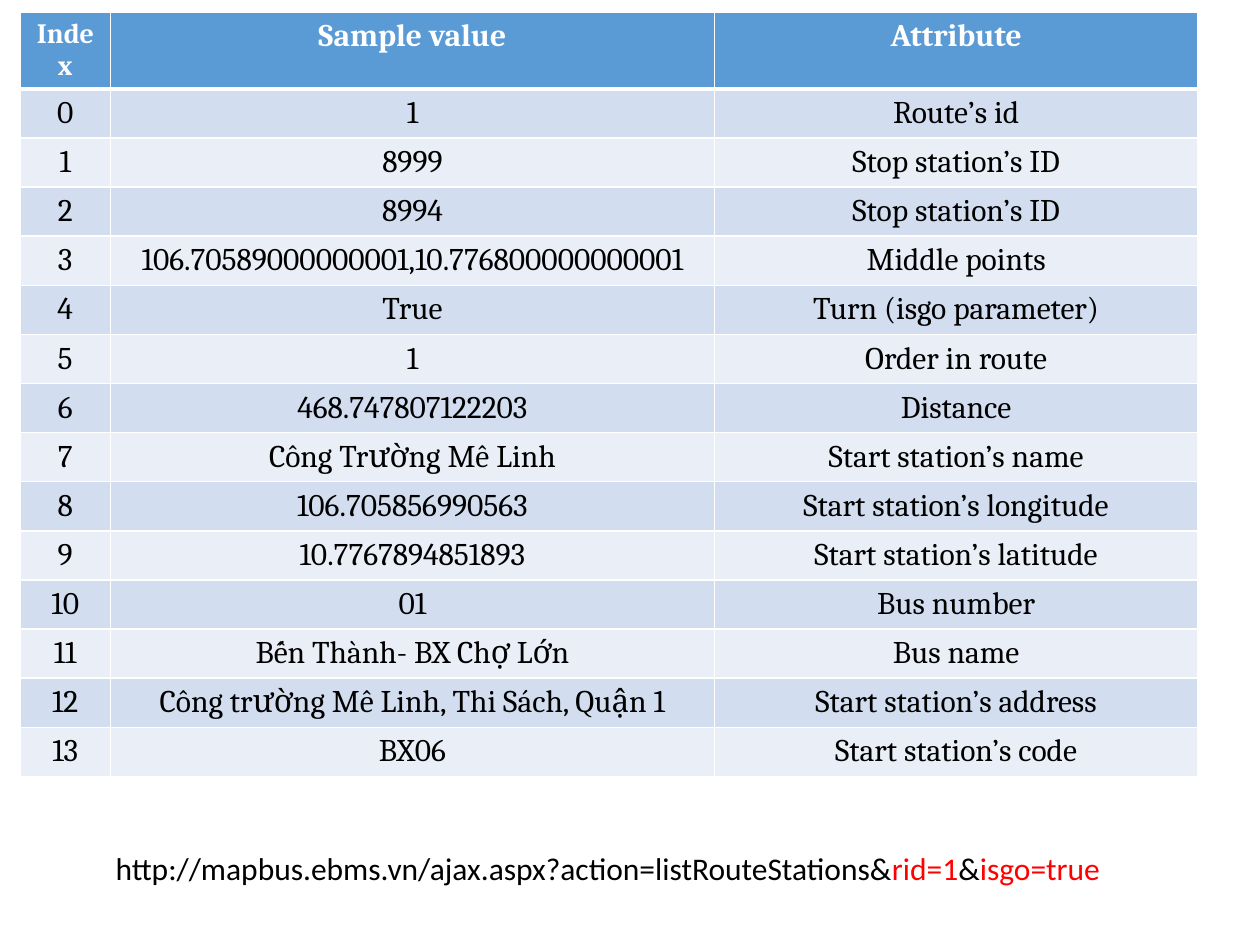
"""Build a slide that lists the attributes of a bus route station record."""
import dataclasses
import typing

import lxml.etree
import pptx
import pptx.dml.color
import pptx.enum.text
import pptx.oxml.ns
import pptx.util

Cm = pptx.util.Cm
Pt = pptx.util.Pt

COLORS = {
    "header": "5B9BD5",
    "odd": "D2DEEF",
    "even": "EAEFF7",
    "white": "FFFFFF",
    "black": "000000",
    "red": "FF0000",
}
HEADER_FONT = {"name": "Cambria", "size": Pt(18), "bold": True}
INDEX_FONT = {**HEADER_FONT, "size": Pt(16)}
BODY_FONT = {"name": "Cambria", "size": Pt(18), "bold": False}
URL_FONT = {"name": "Calibri", "size": Pt(18)}


@dataclasses.dataclass
class Attribute:
    sample: str
    meaning: str


@dataclasses.dataclass
class UrlPart:
    text: str
    color: str


HEADINGS = ["Index", "Sample value", "Attribute"]
ATTRIBUTES = [
    Attribute("1", "Route’s id"),
    Attribute("8999", "Stop station’s ID"),
    Attribute("8994", "Stop station’s ID"),
    Attribute("106.70589000000001,10.776800000000001", "Middle points"),
    Attribute("True", "Turn (isgo parameter)"),
    Attribute("1", "Order in route"),
    Attribute("468.747807122203", "Distance"),
    Attribute("Công Trường Mê Linh", "Start station’s name"),
    Attribute("106.705856990563", "Start station’s longitude"),
    Attribute("10.7767894851893", "Start station’s latitude"),
    Attribute("01", "Bus number"),
    Attribute("Bến Thành- BX Chợ Lớn", "Bus name"),
    Attribute("Công trường Mê Linh, Thi Sách, Quận 1", "Start station’s address"),
    Attribute("BX06", "Start station’s code"),
]
URL_PARTS = [
    UrlPart("http://mapbus.ebms.vn/ajax.aspx?action=listRouteStations&", "black"),
    UrlPart("rid=1", "red"),
    UrlPart("&", "black"),
    UrlPart("isgo=true", "red"),
]
COLUMN_WIDTHS = [Cm(1.83), Cm(12.17), Cm(9.75)]
HEADER_HEIGHT = Cm(1.53)
ROW_HEIGHT = Cm(0.99)


def rgb(color: str) -> pptx.dml.color.RGBColor:
    """Return the named colour."""
    return pptx.dml.color.RGBColor.from_string(COLORS[color])


def add_run(p: typing.Any, text: str, fmt: dict[str, typing.Any], color: str) -> None:
    """Append a formatted run to a paragraph."""
    r = p.add_run()
    r.text = text
    for name, value in fmt.items():
        setattr(r.font, name, value)
    r.font.color.rgb = rgb(color)


def add_borders(cell: typing.Any, top: int, bottom: int) -> None:
    """Draw white borders, in points, around a cell."""
    qn = pptx.oxml.ns.qn
    tc_pr = cell._tc.get_or_add_tcPr()
    for side, width in {"L": 1, "R": 1, "T": top, "B": bottom}.items():
        ln = lxml.etree.SubElement(tc_pr, qn(f"a:ln{side}"), w=str(Pt(width)))
        fill = lxml.etree.SubElement(ln, qn("a:solidFill"))
        lxml.etree.SubElement(fill, qn("a:srgbClr"), val=COLORS["white"])


def fill_row(table: typing.Any, row: int, texts: list[str]) -> None:
    """Write and style one row of the table."""
    is_header = row == 0
    for col, text in enumerate(texts):
        cell = table.cell(row, col)
        add_borders(cell, 3 if row == 1 else 1, 3 if is_header else 1)
        cell.fill.solid()
        cell.fill.fore_color.rgb = rgb("header" if is_header else "odd" if row % 2 else "even")
        p = cell.text_frame.paragraphs[0]
        p.alignment = pptx.enum.text.PP_ALIGN.CENTER
        if is_header:
            add_run(p, text, HEADER_FONT if col else INDEX_FONT, "white")
        else:
            add_run(p, text, BODY_FONT, "black")


def add_attribute_table(s: typing.Any) -> None:
    """Add the table of attributes."""
    rows = [HEADINGS]
    rows += [[str(i), a.sample, a.meaning] for i, a in enumerate(ATTRIBUTES)]
    height = HEADER_HEIGHT + ROW_HEIGHT * len(ATTRIBUTES)
    table = s.shapes.add_table(
        len(rows), len(HEADINGS), Cm(0.4), Cm(0.24), sum(COLUMN_WIDTHS), height
    ).table
    for column, width in zip(table.columns, COLUMN_WIDTHS):
        column.width = width
    for i, texts in enumerate(rows):
        table.rows[i].height = ROW_HEIGHT if i else HEADER_HEIGHT
        fill_row(table, i, texts)


def add_url(s: typing.Any) -> None:
    """Add the request address below the table."""
    tf = s.shapes.add_textbox(Cm(2.08), Cm(16.99), Cm(20.8), Cm(1.02)).text_frame
    tf.word_wrap = True
    tf.auto_size = pptx.enum.text.MSO_AUTO_SIZE.SHAPE_TO_FIT_TEXT
    for part in URL_PARTS:
        add_run(tf.paragraphs[0], part.text, URL_FONT, part.color)


def main() -> None:
    """Build and save the presentation."""
    prs = pptx.Presentation()
    prs.slide_width, prs.slide_height = Cm(25.4), Cm(19.05)
    s = prs.slides.add_slide(prs.slide_layouts[6])
    add_attribute_table(s)
    add_url(s)
    prs.save("out.pptx")


if __name__ == "__main__":
    main()
